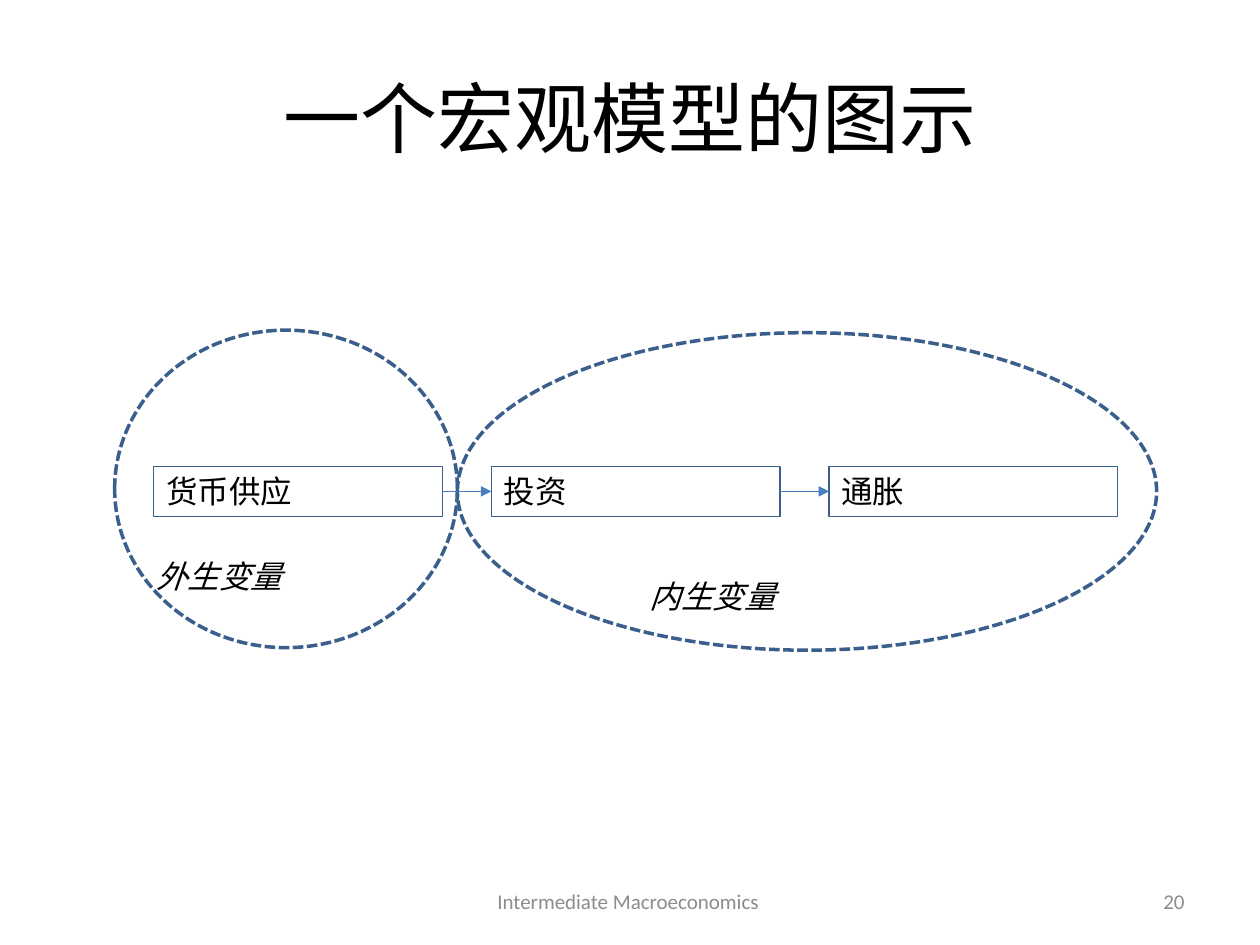
from lxml import etree
from pptx import Presentation
from pptx import util as u
from pptx.dml import color
from pptx.enum import dml, shapes, text
from pptx.oxml import ns

theme = {
    "font": "Calibri",
    "ink": color.RGBColor(0x00, 0x00, 0x00),
    "gray": color.RGBColor(0x8C, 0x8C, 0x8C),
    "edge": color.RGBColor(0x3A, 0x5F, 0x8C),
    "arrow": color.RGBColor(0x4B, 0x7E, 0xBC),
    "title": u.Pt(44),
    "body": u.Pt(18),
    "foot": u.Pt(12),
}
left, mid, right = text.PP_ALIGN.LEFT, text.PP_ALIGN.CENTER, text.PP_ALIGN.RIGHT
top, center = text.MSO_ANCHOR.TOP, text.MSO_ANCHOR.MIDDLE


def write(shape, words, size="body", ink="ink", align=left, anchor=top, slant=False):
    frame = shape.text_frame
    frame.word_wrap = True
    frame.vertical_anchor = anchor
    line = frame.paragraphs[0]
    line.alignment = align
    run = line.add_run()
    run.text = words
    look = {"name": theme["font"], "size": theme[size], "italic": slant}
    for key, value in look.items():
        setattr(run.font, key, value)
    run.font.color.rgb = theme[ink]


def outline(kind, box, width):
    """Add an unfilled shape with a thin edge."""
    shape = slide.shapes.add_shape(kind, *map(u.Inches, box))
    shape.shadow.inherit = False
    shape.fill.background()
    shape.line.color.rgb = theme["edge"]
    shape.line.width = u.Pt(width)
    return shape


deck = Presentation()
deck.slide_width, deck.slide_height = u.Inches(10), u.Inches(7.5)
slide = deck.slides.add_slide(deck.slide_layouts[5])

# Title and footer
title = slide.shapes.title
place = {"left": 0.5, "top": 0.3, "width": 9, "height": 1.25}
for key, value in place.items():
    setattr(title, key, u.Inches(value))
write(title, "一个宏观模型的图示", "title", align=mid, anchor=center)

for x, wide, words, align in [
    (3.42, 3.17, "Intermediate Macroeconomics ", mid),
    (7.17, 2.33, "20", right),
]:
    foot = slide.shapes.add_textbox(*map(u.Inches, (x, 6.95, wide, 0.4)))
    write(foot, words, "foot", "gray", align, center)

# Variable groups: a dashed ellipse and its label
for ring, spot, words in [
    ((3.63, 2.64, 5.55, 2.52), (5.06, 4.53), "内生变量"),
    ((0.91, 2.62, 2.72, 2.52), (1.14, 4.37), "外生变量"),
]:
    oval = outline(shapes.MSO_SHAPE.OVAL, ring, 2)
    oval.line.dash_style = dml.MSO_LINE.SQUARE_DOT
    label = slide.shapes.add_textbox(*map(u.Inches, (*spot, 2.83, 0.4)))
    write(label, words, slant=True)

# Causal chain: equal boxes, joined by arrows
first, step, wide, high, y = 1.22, 2.68, 2.29, 0.4, 3.7
chain = []
for i, words in enumerate(["货币供应", "投资", "通胀"]):
    box = outline(shapes.MSO_SHAPE.RECTANGLE, (first + i * step, y, wide, high), 0.75)
    write(box, words)
    chain.append(box)

for start, end in zip(chain, chain[1:]):
    link = slide.shapes.add_connector(shapes.MSO_CONNECTOR.STRAIGHT, 0, 0, 0, 0)
    link.begin_connect(start, 3)
    link.end_connect(end, 1)
    link.line.color.rgb = theme["arrow"]
    link.line.width = u.Pt(0.75)
    etree.SubElement(link.line._get_or_add_ln(), ns.qn("a:tailEnd"), type="triangle")
    etree.SubElement(link._element.spPr, ns.qn("a:effectLst"))

deck.save("out.pptx")
